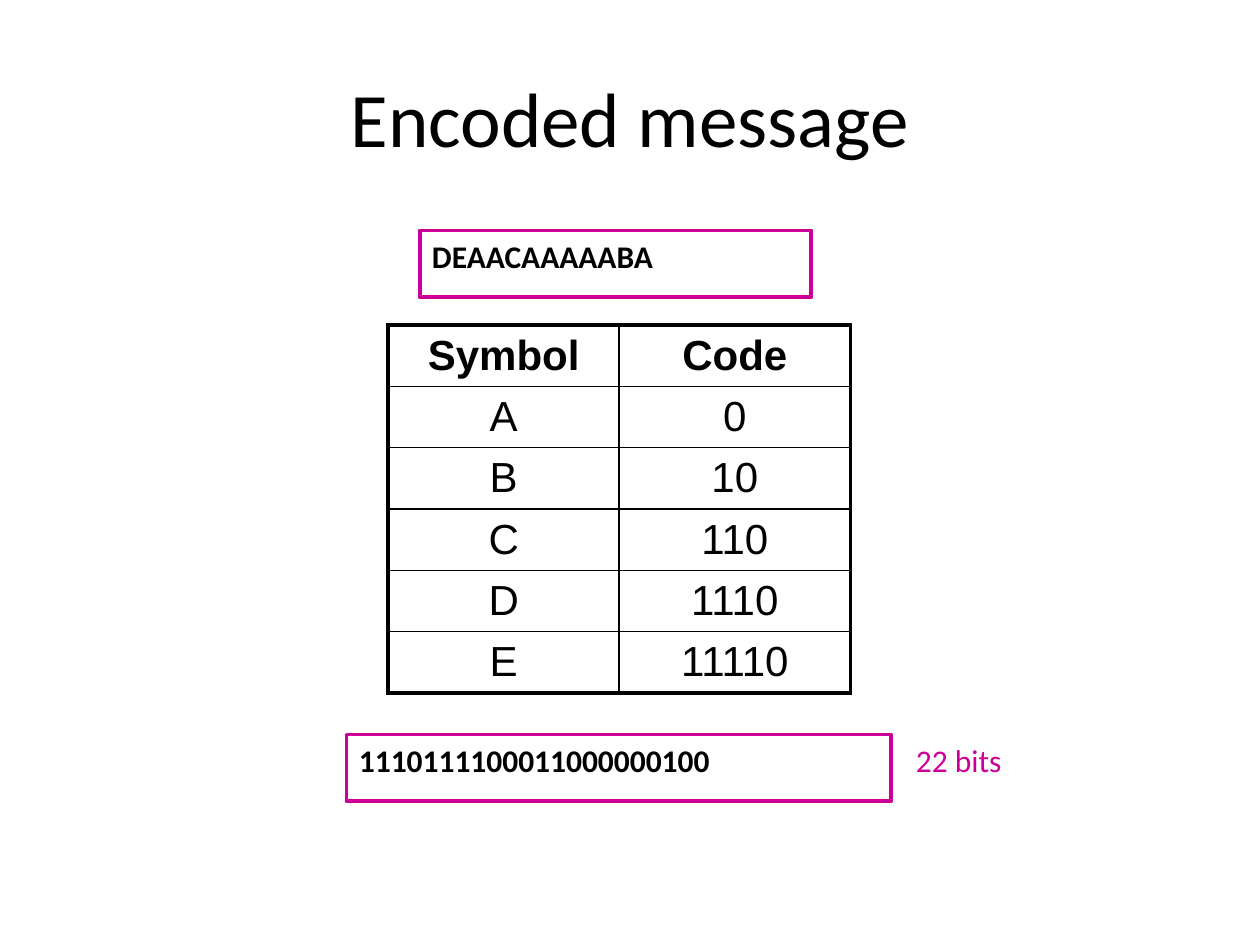
from lxml.etree import SubElement
from pptx import Presentation
from pptx.dml.color import RGBColor
from pptx.enum.shapes import MSO_SHAPE as Shape
from pptx.enum.text import MSO_ANCHOR as Anchor, PP_ALIGN as Align
from pptx.oxml.ns import qn
from pptx.util import Inches, Pt

TITLE = "Encoded message"
CODES = [
    ("Symbol", "Code"),
    ("A", "0"),
    ("B", "10"),
    ("C", "110"),
    ("D", "1110"),
    ("E", "11110"),
]
MESSAGES = [
    ("DEAACAAAAABA", (3.33, 1.83, 3.11, 0.53)),
    ("1110111100011000000100", (2.75, 5.83, 4.32, 0.53)),
]
BIT_COUNT = ("22 bits", (7.17, 5.83, 1.18, 0.5))
TITLE_BOX = (0.5, 0.3, 9, 1.25)
TABLE_BOX = (3.08, 2.58, 3.67, 2.92)
BLACK, MAGENTA = "000000", "CC0099"
THIN, THICK = 1, 2.25


def color(hex_string):
    return RGBColor.from_string(hex_string)


def inches(box):
    return [Inches(length) for length in box]


def write(frame, text, size, ink=BLACK, font="Calibri", bold=False, align=Align.LEFT):
    paragraph = frame.paragraphs[0]
    paragraph.alignment = align
    run = paragraph.add_run()
    run.text = text
    run.font.name = font
    run.font.size = Pt(size)
    run.font.bold = bold
    run.font.color.rgb = color(ink)


def add_border(cell, side, width):
    line = SubElement(cell._tc.get_or_add_tcPr(), qn(f"a:ln{side}"), w=str(Pt(width)))
    fill = SubElement(line, qn("a:solidFill"))
    SubElement(fill, qn("a:srgbClr"), val=BLACK)


def add_code_table(slide):
    row_count, column_count = len(CODES), len(CODES[0])
    frame = slide.shapes.add_table(row_count, column_count, *inches(TABLE_BOX))
    table = frame.table
    table.horz_banding = False
    for row, texts in enumerate(CODES):
        for column, text in enumerate(texts):
            cell = table.cell(row, column)
            outer_sides = {
                "L": column == 0,
                "R": column == column_count - 1,
                "T": row == 0,
                "B": row == row_count - 1,
            }
            for side, outer in outer_sides.items():
                add_border(cell, side, THICK if outer else THIN)
            cell.fill.background()
            cell.vertical_anchor = Anchor.MIDDLE
            write(cell.text_frame, text, 24, font="Arial", bold=row == 0, align=Align.CENTER)


def add_message(slide, text, box):
    shape = slide.shapes.add_shape(Shape.RECTANGLE, *inches(box))
    shape.shadow.inherit = False
    shape.fill.background()
    shape.line.color.rgb = color(MAGENTA)
    shape.line.width = Pt(THICK)
    shape.text_frame.vertical_anchor = Anchor.TOP
    write(shape.text_frame, text, 18, bold=True)


def main():
    """Build the slide that encodes a message with a prefix code."""
    presentation = Presentation()
    presentation.slide_width, presentation.slide_height = inches((10, 7.5))
    slide = presentation.slides.add_slide(presentation.slide_layouts[5])

    title = slide.shapes.title
    title.left, title.top, title.width, title.height = inches(TITLE_BOX)
    title.text_frame.vertical_anchor = Anchor.MIDDLE
    write(title.text_frame, TITLE, 44, align=Align.CENTER)

    add_code_table(slide)
    for text, box in MESSAGES:
        add_message(slide, text, box)

    text, box = BIT_COUNT
    label = slide.shapes.add_textbox(*inches(box))
    label.text_frame.word_wrap = True
    write(label.text_frame, text, 18, MAGENTA)

    presentation.save("out.pptx")


if __name__ == "__main__":
    main()
